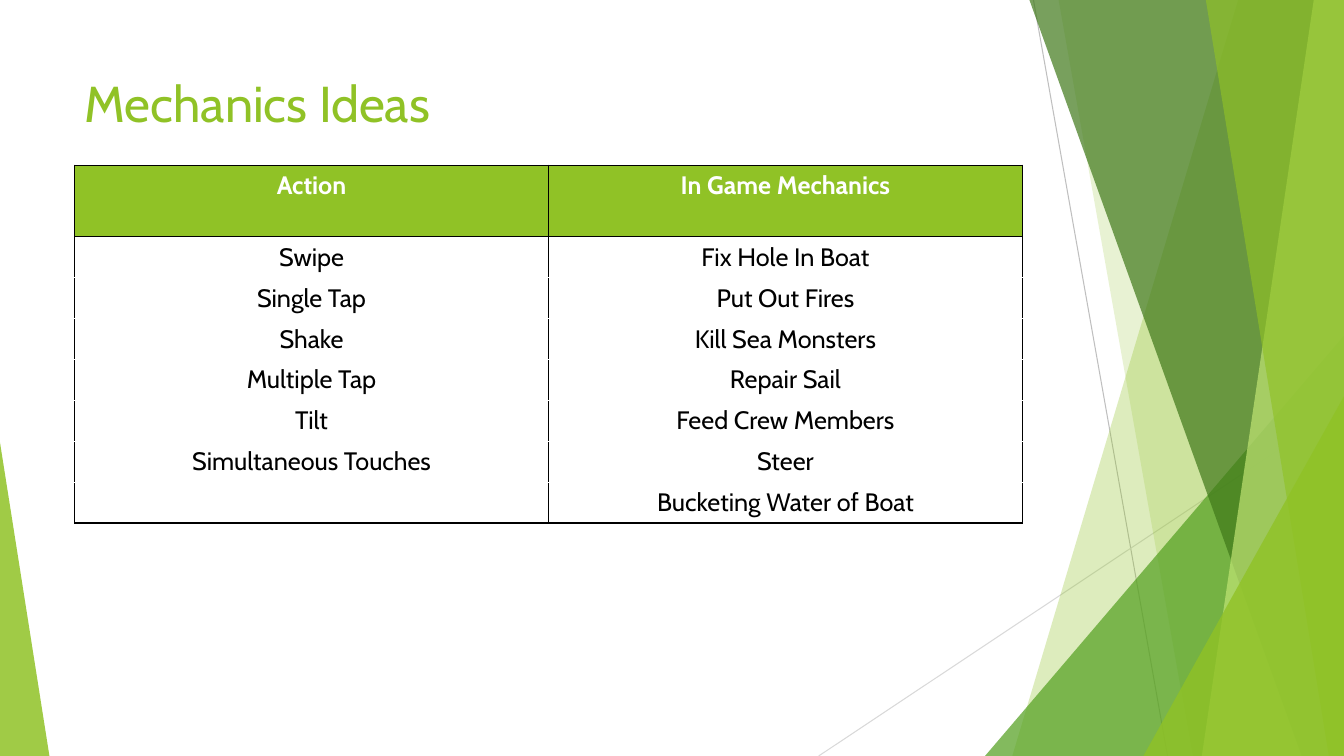
"""Build the Mechanics Ideas slide: a two-column table beside faceted green bands."""
from dataclasses import dataclass

from lxml.etree import SubElement
from pptx import Presentation
from pptx.dml.color import RGBColor
from pptx.enum.shapes import MSO_CONNECTOR, MSO_SHAPE
from pptx.enum.text import PP_ALIGN
from pptx.oxml.ns import qn
from pptx.util import Inches, Pt

WIDTH, HEIGHT = 13.33, 7.5
FONT = "Cabin"
COLORS = {
    "lime": "90C226", "green": "54A021", "forest": "3F7819", "pale": "C0E474",
    "gray": "BFBFBF", "silver": "D9D9D9", "white": "FFFFFF", "black": "000000",
}
LEFT, CONTENT_WIDTH = 0.74, 9.4
HEADER_HEIGHT, BODY_HEIGHT = 0.71, 2.84
ROWS = [
    ("Action", "In Game Mechanics"),
    ("Swipe", "Fix Hole In Boat"),
    ("Single Tap", "Put Out Fires"),
    ("Shake", "Kill Sea Monsters"),
    ("Multiple Tap", "Repair Sail"),
    ("Tilt", "Feed Crew Members"),
    ("Simultaneous Touches", "Steer"),
    ("", "Bucketing Water of Boat"),
]


@dataclass
class Ray:
    start: tuple[float, float]
    end: tuple[float, float]
    color: str


@dataclass
class Band:
    top_x: float
    bottom_x: float
    color: str
    opacity: int


@dataclass
class Wedge:
    left: float
    top: float
    width: float
    apex: float
    color: str
    opacity: int


RAYS = [
    Ray((10.25, 0), (11.58, HEIGHT), "gray"),
    Ray((WIDTH, 4.03), (8.12, HEIGHT), "silver"),
]
FACETS = [
    Band(12.28, 10.04, "lime", 30),
    Band(10.5, 11.83, "lime", 20),
    Wedge(9.77, 3.33, 3.56, 1, "green", 72),
    Band(10.21, 12.91, "forest", 70),
    Band(13.03, 11.92, "pale", 70),
    Band(11.96, 13.18, "lime", 65),
    Wedge(11.34, 3.93, 1.99, 1, "lime", 80),
    Wedge(0, 4.39, 0.49, 0, "lime", 85),
]


def rgb(name: str) -> RGBColor:
    return RGBColor.from_string(COLORS[name])


def draw_ray(page, ray: Ray) -> None:
    points = [Inches(value) for value in (*ray.start, *ray.end)]
    line = page.shapes.add_connector(MSO_CONNECTOR.STRAIGHT, *points)
    line.line.color.rgb = rgb(ray.color)
    line.line.width = Pt(0.75)
    SubElement(line._element.spPr, qn("a:effectLst"))


def draw_facet(page, facet: Band | Wedge) -> None:
    if isinstance(facet, Band):
        corners = [(WIDTH, 0), (WIDTH, HEIGHT), (facet.bottom_x, HEIGHT)]
        builder = page.shapes.build_freeform(Inches(facet.top_x), 0)
        builder.add_line_segments([(Inches(x), Inches(y)) for x, y in corners])
        shape = builder.convert_to_shape()
    else:
        shape = page.shapes.add_shape(
            MSO_SHAPE.ISOSCELES_TRIANGLE, Inches(facet.left), Inches(facet.top),
            Inches(facet.width), Inches(HEIGHT - facet.top))
        shape.adjustments[0] = facet.apex
    shape.shadow.inherit = False
    shape.line.fill.background()
    shape.fill.solid()
    shape.fill.fore_color.rgb = rgb(facet.color)
    color = shape._element.spPr.find(qn("a:solidFill")).find(qn("a:srgbClr"))
    SubElement(color, qn("a:alpha"), val=str(facet.opacity * 1000))


def style_text(paragraph, size: int, color: str, bold: bool = False) -> None:
    for span in [paragraph, *paragraph.runs]:
        span.font.name = FONT
        span.font.size = Pt(size)
        span.font.bold = bold
        span.font.color.rgb = rgb(color)


def draw_title(page, text: str) -> None:
    box = page.shapes.add_textbox(
        Inches(LEFT), Inches(0.67), Inches(CONTENT_WIDTH), Inches(1.44))
    box.text_frame.word_wrap = True
    box.text_frame.text = text
    style_text(box.text_frame.paragraphs[0], 36, "lime")


def add_borders(cell, sides: str) -> None:
    properties = cell._tc.get_or_add_tcPr()
    for side in sides:
        border = SubElement(properties, qn(f"a:ln{side}"), w=str(Pt(1)))
        fill = SubElement(border, qn("a:solidFill"))
        SubElement(fill, qn("a:srgbClr"), val=COLORS["black"])


def draw_table(page) -> None:
    frame = page.shapes.add_table(
        len(ROWS), 2, Inches(LEFT), Inches(1.64), Inches(CONTENT_WIDTH),
        Inches(HEADER_HEIGHT + BODY_HEIGHT))
    table = frame.table
    table.horz_banding = False
    last = len(ROWS) - 1
    for index, texts in enumerate(ROWS):
        header = index == 0
        table.rows[index].height = Inches(HEADER_HEIGHT if header else BODY_HEIGHT / last)
        sides = "LR" + "T" * (index <= 1) + "B" * (index in (0, last))
        for column, text in enumerate(texts):
            cell = table.cell(index, column)
            add_borders(cell, sides)
            cell.fill.solid()
            cell.fill.fore_color.rgb = rgb("lime" if header else "white")
            cell.text_frame.text = text
            paragraph = cell.text_frame.paragraphs[0]
            paragraph.alignment = PP_ALIGN.CENTER
            style_text(paragraph, 18, "white" if header else "black", header)


def main() -> None:
    deck = Presentation()
    deck.slide_width, deck.slide_height = Inches(WIDTH), Inches(HEIGHT)
    page = deck.slides.add_slide(deck.slide_layouts[6])
    for ray in RAYS:
        draw_ray(page, ray)
    for facet in FACETS:
        draw_facet(page, facet)
    draw_title(page, "Mechanics Ideas")
    draw_table(page)
    deck.save("out.pptx")


if __name__ == "__main__":
    main()
